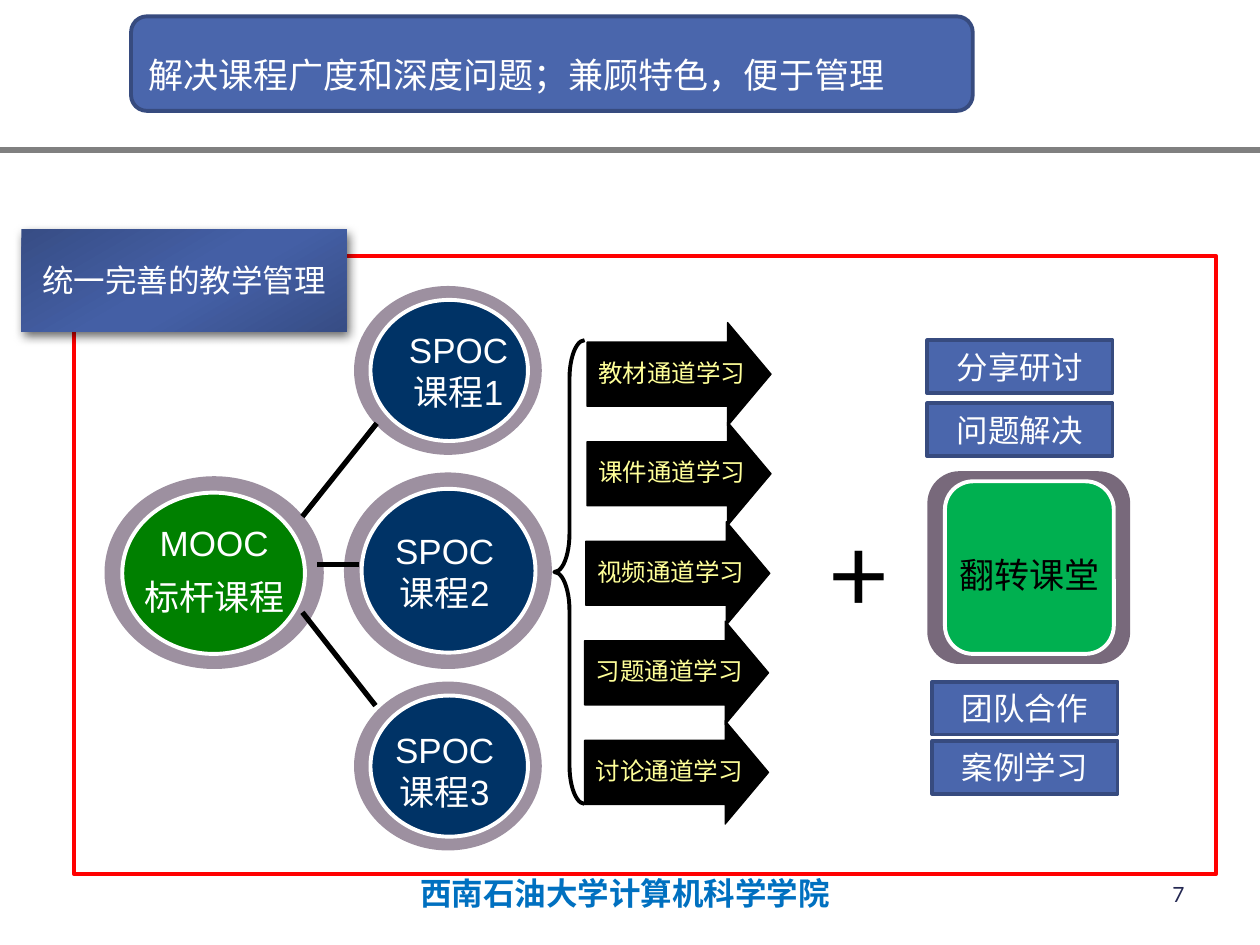
import pptx
import pptx.dml.color
import pptx.enum.shapes
import pptx.enum.text
import pptx.oxml
import pptx.oxml.ns
import pptx.util

Inches = pptx.util.Inches
Pt = pptx.util.Pt
SHAPE = pptx.enum.shapes.MSO_SHAPE
ALIGN = pptx.enum.text.PP_ALIGN
ANCHOR = pptx.enum.text.MSO_ANCHOR

COLORS = {
    "black": "000000", "white": "FFFFFF", "grey": "808080", "red": "FF0000",
    "blue": "4A66AC", "edge": "374B7F", "navy": "003366", "green": "008000",
    "lime": "00B050", "ring": "9D90A0", "frame": "78697B", "yellow": "FFFF99",
    "footer": "0070C0", "number": "242852", "dark": "374D85", "light": "445FA5",
}
BOX = {"fill": "blue", "line": "edge", "weight": 2.22}
DISC = {"line": "white", "weight": 2.25}
LABEL = {"size": 18, "name": "Lato", "color": "white"}
CIRCLE_LABEL = {"size": 20, "name": "Arial", "color": "white"}


class SlideBuilder:
    """Holds the style and the current slide, and adds each kind of element."""

    def __init__(self, prs, colors):
        self.colors = colors
        self.s = prs.slides.add_slide(prs.slide_layouts[6])

    def rgb(self, name):
        return pptx.dml.color.RGBColor.from_string(self.colors[name])

    def label(self, sp, lines, font, align=ALIGN.CENTER, anchor=ANCHOR.MIDDLE, wrap=True, **spacing):
        tf = sp.text_frame
        for key, value in {"word_wrap": wrap, "vertical_anchor": anchor}.items():
            setattr(tf, key, value)
        for i, line in enumerate(lines.split("\n")):
            p = tf.add_paragraph() if i else tf.paragraphs[0]
            p.alignment = align
            if i:
                p.space_before = Pt(7)
            for key, value in spacing.items():
                setattr(p, key, value)
            r = p.add_run()
            r.text = line
            values = {"size": Pt(font["size"]), "name": font["name"], "bold": font.get("bold", False)}
            for key, value in values.items():
                setattr(r.font, key, value)
            r.font.color.rgb = self.rgb(font["color"])

    def text(self, at, lines, font, **layout):
        sp = self.s.shapes.add_textbox(*map(Inches, at))
        self.label(sp, lines, font, **layout)

    def shape(self, kind, at, fill=None, line=None, weight=1, adj=()):
        sp = self.s.shapes.add_shape(kind, *map(Inches, at))
        sp.shadow.inherit = False
        for i, value in enumerate(adj):
            sp.adjustments[i] = value
        if fill:
            sp.fill.solid()
            sp.fill.fore_color.rgb = self.rgb(fill)
        else:
            sp.fill.background()
        if line:
            sp.line.color.rgb = self.rgb(line)
            sp.line.width = Pt(weight)
        else:
            sp.line.fill.background()
        return sp

    def line(self, start, end, color, weight):
        sp = self.s.shapes.add_connector(
            pptx.enum.shapes.MSO_CONNECTOR.STRAIGHT, *map(Inches, start + end))
        sp.line.color.rgb = self.rgb(color)
        sp.line.width = Pt(weight)
        sp._element.spPr.append(pptx.oxml.parse_xml(f"<a:effectLst {pptx.oxml.ns.nsdecls('a')}/>"))

    def ringed_disc(self, ring, disc, fill):
        self.shape(SHAPE.DONUT, ring, "ring", adj=[0.09])
        self.shape(SHAPE.OVAL, disc, fill, **DISC)

    def box(self, at, words):
        self.label(self.shape(SHAPE.RECTANGLE, at, **BOX), words, LABEL)

    def banner(self, at, words, stops):
        sp = self.shape(SHAPE.RECTANGLE, at)
        sp.fill.gradient()
        sp.fill.gradient_angle = 300
        ns = pptx.oxml.ns.nsdecls("a")
        spPr = sp._element.spPr
        gradient = spPr.find(".//" + pptx.oxml.ns.qn("a:gsLst"))
        gradient.clear()
        for pos, color in stops:
            gradient.append(pptx.oxml.parse_xml(
                f'<a:gs {ns} pos="{pos * 1000}"><a:srgbClr val="{self.colors[color]}"/></a:gs>'))
        spPr.find(pptx.oxml.ns.qn("a:effectLst")).append(pptx.oxml.parse_xml(
            f'<a:outerShdw {ns} blurRad="{Pt(6)}" dist="{Pt(3)}" dir="3600000" rotWithShape="0">'
            f'<a:srgbClr val="{self.colors["black"]}"><a:alpha val="60000"/></a:srgbClr></a:outerShdw>'))
        self.label(sp, words, LABEL)


def main():
    prs = pptx.Presentation()
    prs.slide_width, prs.slide_height = Inches(10), Inches(7.5)
    b = SlideBuilder(prs, COLORS)

    b.line((0, 1.19), (10, 1.19), "grey", 3)
    b.text((3.03, 6.9, 3.86, 0.37), "西南石油大学计算机科学学院",
           {"size": 18, "name": "Noto Sans CJK SC", "color": "footer", "bold": True})

    channel_font = {"size": 14, "name": "Lato", "color": "yellow"}
    channels = [("教材", 4.66), ("课件", 4.66), ("视频", 4.65), ("习题", 4.64), ("讨论", 4.64)]
    for i, (channel, left) in enumerate(channels):
        top = 2.56 + 0.79 * i
        b.shape(SHAPE.RIGHT_ARROW, (left, top, 1.46, 0.82), "black", "black", 0.75, [0.62, 0.42])
        b.text((left - 0.01, top + 0.23, 1.37, 0.33), channel + "通道学习", channel_font,
               align=ALIGN.LEFT, anchor=ANCHOR.TOP, wrap=False)

    b.ringed_disc((2.73, 3.75, 1.65, 1.56), (2.87, 3.88, 1.38, 1.3), "navy")
    b.ringed_disc((0.83, 3.78, 1.74, 1.53), (0.97, 3.91, 1.45, 1.28), "green")
    for top in (5.41, 2.27):
        b.ringed_disc((2.81, top, 1.49, 1.34), (2.94, top + 0.11, 1.25, 1.12), "navy")
    b.text((0.98, 4.09, 1.44, 0.89), "MOOC\n标杆课程", CIRCLE_LABEL, anchor=ANCHOR.TOP)
    for i, (left, top) in enumerate([(3.02, 2.56), (2.91, 4.15), (2.91, 5.73)], 1):
        b.text((left, top, 1.24, 0.77), f"SPOC课程{i}", CIRCLE_LABEL, anchor=ANCHOR.TOP)
    for start, end in [((2.52, 4.48), (2.85, 4.48)), ((2.4, 4.1), (2.99, 3.36)), ((2.4, 4.86), (2.98, 5.6))]:
        b.line(start, end, "black", 3)
    b.shape(SHAPE.LEFT_BRACE, (4.4, 2.7, 0.24, 3.68), None, "black", 2.25, [1.27, 0.5])

    b.text((6.48, 3.98, 0.69, 1.1), "+", {"size": 60, "name": "Lato", "color": "black"},
           align=ALIGN.LEFT, anchor=ANCHOR.TOP, wrap=False)
    b.shape(SHAPE.ROUNDED_RECTANGLE, (7.36, 3.74, 1.61, 1.53), "frame")
    b.shape(SHAPE.ROUNDED_RECTANGLE, (7.5, 3.82, 1.34, 1.37), "lime", **DISC)
    b.text((7.51, 4.34, 1.33, 0.41), "翻转课堂", {**CIRCLE_LABEL, "color": "black"}, anchor=ANCHOR.TOP)
    activities = [("分享研讨", 7.36, 2.7), ("问题解决", 7.36, 3.2), ("团队合作", 7.4, 5.41), ("案例学习", 7.4, 5.88)]
    for words, left, top in activities:
        b.box((left, top, 1.47, 0.42), words)

    b.shape(SHAPE.RECTANGLE, (0.59, 2.03, 9.06, 4.91), None, "red", 2.22)
    b.banner((0.17, 1.82, 2.58, 0.81), "统一完善的教学管理",
             [(0, "dark"), (48, "light"), (58, "light"), (100, "dark")])
    b.text((7.17, 6.9, 2.33, 0.4), "7", {"size": 12, "name": "Lato", "color": "number"}, align=ALIGN.RIGHT)
    title = b.shape(SHAPE.ROUNDED_RECTANGLE, (1.04, 0.13, 6.68, 0.75), **BOX)
    b.label(title, "解决课程广度和深度问题；兼顾特色，便于管理",
            {"size": 20, "name": "Noto Sans CJK SC", "color": "white"}, align=ALIGN.LEFT, line_spacing=1.5)

    prs.save("out.pptx")


if __name__ == "__main__":
    main()
